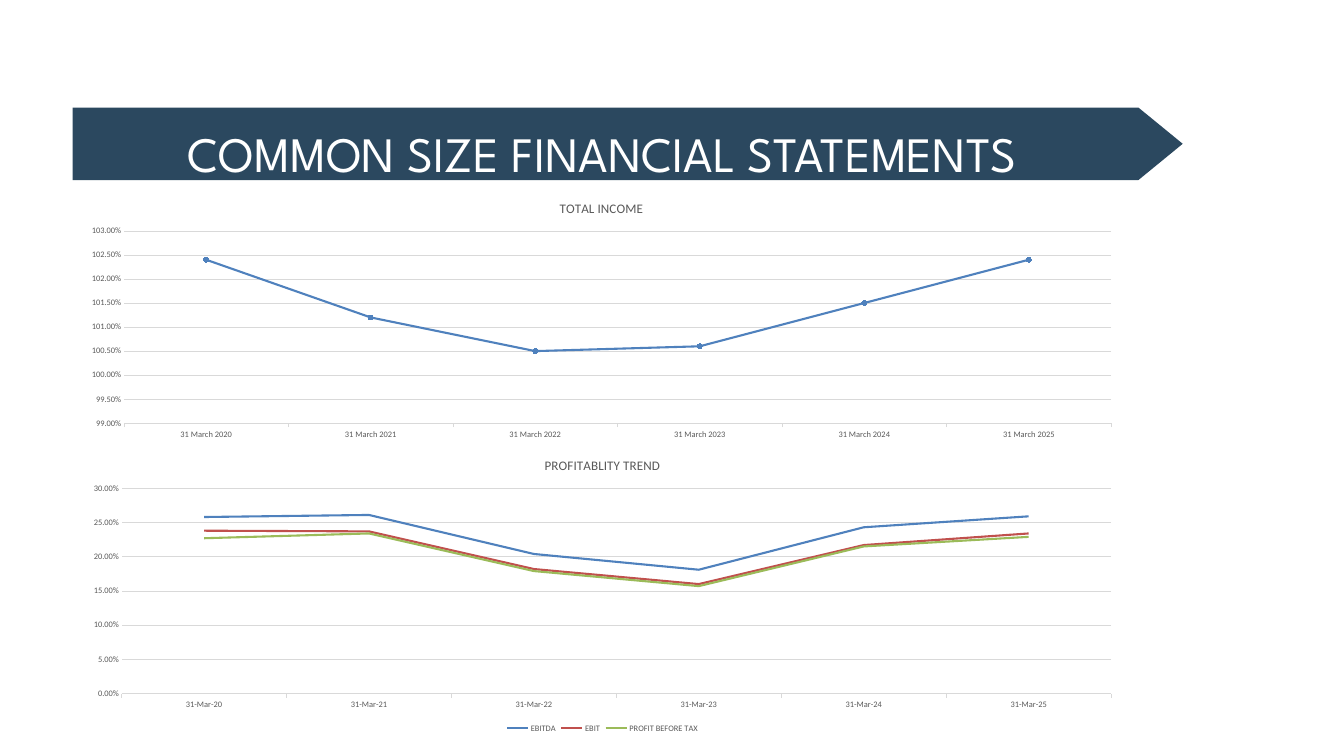
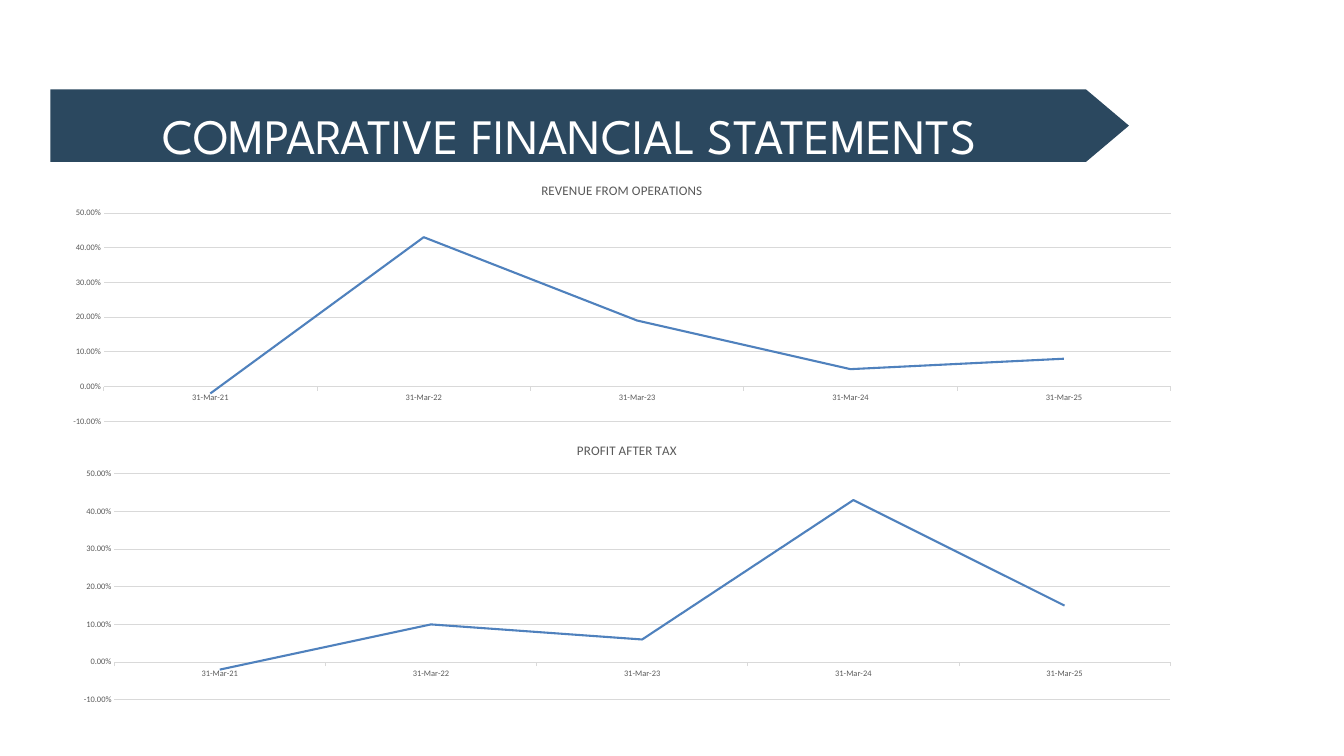
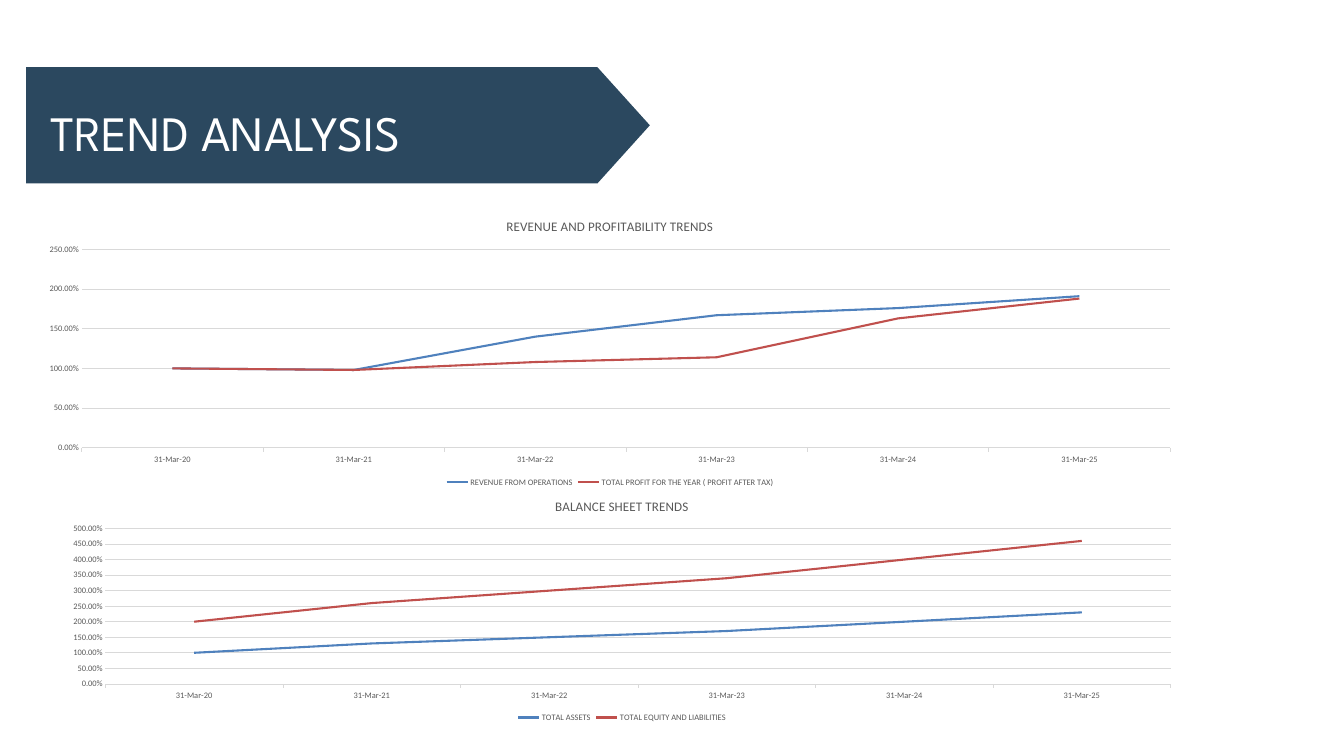
from pptx import Presentation
from pptx.chart.data import CategoryChartData
from pptx.dml.color import RGBColor
from pptx.enum import chart as ch, shapes, text
from pptx.util import Inches, Pt

NAVY, WHITE, GREY, GRID = "2B485F", "FFFFFF", "595959", "D9D9D9"
SERIES_COLORS = ["4F81BD", "C0504D", "9BBB59"]
TITLE_FONT, CHART_FONT = "League Spartan", "Calibri"
PLAIN = ch.XL_CHART_TYPE.LINE
MARKED = ch.XL_CHART_TYPE.LINE_MARKERS
STACKED = ch.XL_CHART_TYPE.LINE_STACKED
LEFT, CENTER = text.PP_ALIGN.LEFT, text.PP_ALIGN.CENTER

# Year-end labels
long_dates = [f"31 March {year}" for year in range(2020, 2026)]
dates = [f"31-Mar-{year}" for year in range(20, 26)]


def rgb(hex_color):
    return RGBColor.from_string(hex_color)


def write(tf, words, size, color, font, align=CENTER, spacing=None):
    p = tf.paragraphs[0]
    p.alignment = align
    if spacing:
        p.line_spacing = Pt(spacing)
    r = p.add_run()
    r.text = words
    r.font.size, r.font.name, r.font.bold = Pt(size), font, False
    r.font.color.rgb = rgb(color)


# Each slide: title, alignment, title box, band box, length of the band's tip, charts
# Each chart: title, box, type, axis (low, high, step), categories, series
slides = [
    ("COMMON SIZE FINANCIAL STATEMENTS", CENTER,
     (1.08, 1.69, 15.77, 0.99), (1.08, 1.6, 16.52, 1.08), 0.66, [
         ("TOTAL INCOME", (1.05, 2.8, 15.8, 3.82), MARKED, (0.99, 1.03, 0.005), long_dates,
          {"TOTAL INCOME": [1.024, 1.012, 1.005, 1.006, 1.015, 1.024]}),
         ("PROFITABLITY TREND", (1.08, 6.61, 15.77, 4.34), PLAIN, (0, 0.3, 0.05), dates,
          {"EBITDA": [0.258, 0.261, 0.204, 0.181, 0.243, 0.259],
           "EBIT": [0.238, 0.237, 0.182, 0.16, 0.217, 0.234],
           "PROFIT BEFORE TAX": [0.227, 0.234, 0.179, 0.157, 0.215, 0.229]}),
     ]),
    ("COMPARATIVE FINANCIAL STATEMENTS", CENTER,
     (0.35, 1.41, 16.25, 1), (0.75, 1.33, 16.05, 1.08), 0.64, [
         ("REVENUE FROM OPERATIONS", (0.75, 2.53, 17.01, 3.89), PLAIN, (-0.1, 0.5, 0.1), dates[1:],
          {"REVENUE FROM OPERATIONS": [-0.02, 0.43, 0.19, 0.05, 0.08]}),
         ("PROFIT AFTER TAX", (0.91, 6.4, 16.84, 4.17), PLAIN, (-0.1, 0.5, 0.1), dates[1:],
          {"Series 1": [-0.02, 0.1, 0.06, 0.43, 0.15]}),
     ]),
    ("TREND ANALYSIS", LEFT,
     (0.75, 1.37, 8.18, 1), (0.39, 1, 9.28, 1.73), 0.78, [
         ("REVENUE AND PROFITABILITY TRENDS", (0.39, 3.06, 17.37, 4.23), PLAIN, (0, 2.5, 0.5), dates,
          {"REVENUE FROM OPERATIONS": [1, 0.98, 1.4, 1.67, 1.76, 1.91],
           "TOTAL PROFIT FOR THE YEAR ( PROFIT AFTER TAX)": [1, 0.98, 1.08, 1.14, 1.63, 1.88]}),
         ("BALANCE SHEET TRENDS", (0.75, 7.24, 17.01, 3.55), STACKED, (0, 5, 0.5), dates,
          {"TOTAL ASSETS": [1, 1.3, 1.5, 1.7, 2, 2.3],
           "TOTAL EQUITY AND LIABILITIES": [1, 1.3, 1.5, 1.7, 2, 2.3]}),
     ]),
]

prs = Presentation()
prs.slide_width, prs.slide_height = Inches(20), Inches(11.25)

for heading, align, title_box, band_box, tip, charts in slides:
    s = prs.slides.add_slide(prs.slide_layouts[5])

    # Title
    title = s.shapes.title
    title.left, title.top, title.width, title.height = map(Inches, title_box)
    tf = title.text_frame
    tf.margin_left = tf.margin_right = tf.margin_top = tf.margin_bottom = 0
    tf.vertical_anchor = text.MSO_ANCHOR.TOP
    tf.auto_size = text.MSO_AUTO_SIZE.NONE
    tf.word_wrap = True
    write(tf, heading, 53, WHITE, TITLE_FONT, align=align, spacing=74.2)

    # Arrow band behind the title
    band = s.shapes.add_shape(shapes.MSO_SHAPE.PENTAGON, *map(Inches, band_box))
    band.adjustments[0] = tip / band_box[3]
    band.fill.solid()
    band.fill.fore_color.rgb = rgb(NAVY)
    band.line.fill.background()
    band.shadow.inherit = False
    title.element.addprevious(band.element)

    # Charts
    for name, box, kind, (low, high, step), categories, series in charts:
        data = CategoryChartData(number_format="0.00%")
        data.categories = categories
        for label, values in series.items():
            data.add_series(label, values)
        chart = s.shapes.add_chart(kind, *map(Inches, box), data).chart
        chart.font.size, chart.font.name = Pt(9), CHART_FONT
        chart.font.color.rgb = rgb(GREY)
        chart.has_title = True
        write(chart.chart_title.text_frame, name, 14, GREY, CHART_FONT)
        chart.chart_title.include_in_layout = False
        chart.has_legend = len(series) > 1
        if chart.has_legend:
            chart.legend.position = ch.XL_LEGEND_POSITION.BOTTOM
            chart.legend.include_in_layout = False

        # Axes
        cat, val = chart.category_axis, chart.value_axis
        cat.major_tick_mark = ch.XL_TICK_MARK.OUTSIDE
        val.major_tick_mark = ch.XL_TICK_MARK.NONE
        val.minimum_scale, val.maximum_scale, val.major_unit = low, high, step
        val.tick_labels.number_format = "0.00%"
        val.tick_labels.number_format_is_linked = False
        val.format.line.fill.background()
        for line in (cat.format.line, val.major_gridlines.format.line):
            line.color.rgb = rgb(GRID)
            line.width = Pt(0.75)

        # Series lines
        chart.plots[0].vary_by_categories = False
        for line_series, color in zip(chart.plots[0].series, SERIES_COLORS):
            line_series.smooth = False
            line_series.format.line.color.rgb = rgb(color)
            line_series.format.line.width = Pt(2.25)
            if kind == MARKED:
                marker = line_series.marker
                marker.style, marker.size = ch.XL_MARKER_STYLE.CIRCLE, 5
                marker.format.fill.solid()
                marker.format.fill.fore_color.rgb = rgb(color)
                marker.format.line.color.rgb = rgb(color)

prs.save("out.pptx")
